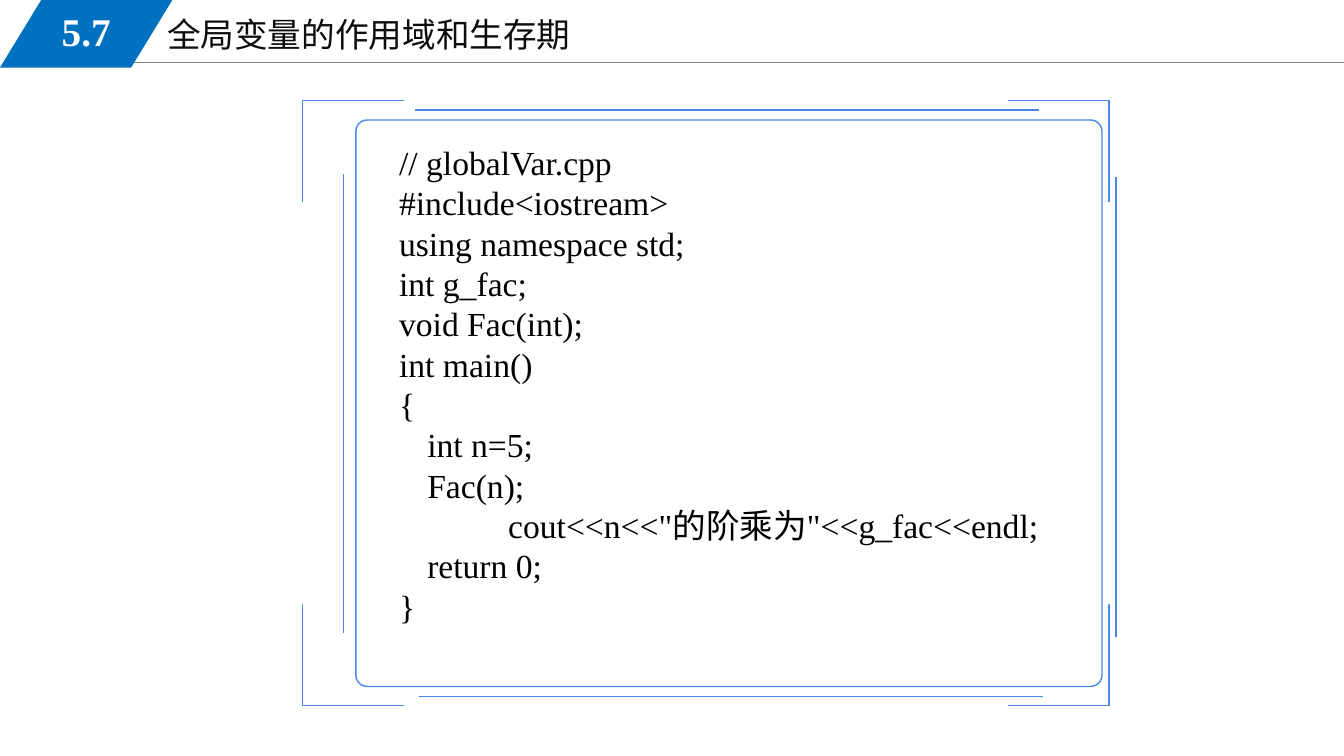
from lxml import etree
from pptx import Presentation
from pptx.dml.color import RGBColor
from pptx.enum.shapes import MSO_CONNECTOR, MSO_SHAPE
from pptx.enum.text import MSO_ANCHOR, PP_ALIGN
from pptx.oxml.ns import qn
from pptx.util import Inches, Pt

STRAIGHT = MSO_CONNECTOR.STRAIGHT
MIDDLE, TOP = MSO_ANCHOR.MIDDLE, MSO_ANCHOR.TOP
CENTER, LEFT = PP_ALIGN.CENTER, PP_ALIGN.LEFT

# Content
SECTION = "5.7"
TITLE = "全局变量的作用域和生存期"
CODE = [
    "// globalVar.cpp",
    "#include<iostream>",
    "using namespace std;",
    "int g_fac;",
    "void Fac(int);",
    "int main()",
    "{",
    "\tint n=5;",
    "\tFac(n);",
    "             cout<<n<<\"的阶乘为\"<<g_fac<<endl;",
    "\treturn 0;",
    "}",
]

# Style and layout, in inches
FONT = "Times New Roman"
BLUE, FRAME_BLUE, GREY = "0070C0", "4788E6", "808080"
WIDTH, HEIGHT = 13.33, 7.5
FRAME_LEFT, FRAME_TOP, FRAME_RIGHT, FRAME_BOTTOM = 3.37, 1.06, 11.13, 6.94
EDGE = 0.03  # distance of the side lines from the frame's limits
SIDE_LINES = [
    (4.12, FRAME_TOP + EDGE, 10.3, FRAME_TOP + EDGE),
    (4.16, FRAME_BOTTOM - EDGE, 10.34, FRAME_BOTTOM - EDGE),
    (FRAME_LEFT + 0.04, 1.73, FRAME_LEFT + 0.04, 6.28),
    (FRAME_RIGHT - 0.06, 1.76, FRAME_RIGHT - 0.06, 6.32),
]
# Corner bracket, as distances inward from a corner of the frame
BRACKET = [(0.07, 0), (0.36, 0), (0.32, 0.03), (0.61, 0.03), (0.64, 0.06),
           (0.14, 0.06), (0.07, 0.11), (0.07, 0.49), (0.04, 0.51),
           (0.04, 0.28), (0, 0.31), (0, 0.06)]


def color(value):
    return RGBColor.from_string(value)


def add_line(page, ends, line_color, weight):
    line = page.shapes.add_connector(STRAIGHT, *map(Inches, ends))
    line.line.color.rgb = color(line_color)
    line.line.width = Pt(weight)
    etree.SubElement(line._element.spPr, qn("a:effectLst"))


def paint(shape, fill=None, outline=None):
    shape.shadow.inherit = False
    if fill:
        shape.fill.solid()
        shape.fill.fore_color.rgb = color(fill)
    else:
        shape.fill.background()
    if outline:
        shape.line.color.rgb = color(outline)
        shape.line.width = Pt(1)
    else:
        shape.line.fill.background()


def add_text(page, area, lines, size, text_color, bold=False, align=LEFT, anchor=TOP):
    box = page.shapes.add_textbox(*map(Inches, area))
    frame = box.text_frame
    frame.word_wrap = True
    frame.vertical_anchor = anchor
    for index, text in enumerate(lines):
        para = frame.paragraphs[0] if index == 0 else frame.add_paragraph()
        para.text = text
        para.alignment = align
        para.font.name = FONT
        para.font.size = Pt(size)
        para.font.bold = bold
        para.font.color.rgb = color(text_color)
    return frame


def format_code(frame):
    for para in frame.paragraphs:
        para.line_spacing = Pt(28.8)
        props = para._p.get_or_add_pPr()
        props.set("marL", "0")
        props.set("indent", str(Inches(0.22)))
        tabs = etree.Element(qn("a:tabLst"))
        etree.SubElement(tabs, qn("a:tab"), pos=str(Inches(1)), algn="l")
        props.find(qn("a:defRPr")).addprevious(tabs)


def add_header(page):
    add_line(page, (1.13, 0.62, WIDTH, 0.62), GREY, 0.75)
    add_text(page, (1.56, 0.09, 5.67, 0.51), [TITLE], 24, "0D0D0D")
    tag = page.shapes.add_shape(MSO_SHAPE.PARALLELOGRAM, 0, 0, Inches(1.71), Inches(0.67))
    tag.adjustments[0] = 0.61
    paint(tag, BLUE)
    add_text(page, (0.25, 0.02, 1.21, 0.58), [SECTION], 28, "FFFFFF", True, CENTER, MIDDLE)


def add_frame(page):
    panel = page.shapes.add_shape(MSO_SHAPE.ROUNDED_RECTANGLE,
                                  *map(Inches, (3.53, 1.19, 7.4, 5.62)))
    panel.adjustments[0] = 0.02
    paint(panel, outline=FRAME_BLUE)
    # One bracket, mirrored into each corner
    for corner_x, step_x in ((FRAME_LEFT, 1), (FRAME_RIGHT, -1)):
        for corner_y, step_y in ((FRAME_TOP, 1), (FRAME_BOTTOM, -1)):
            points = [(corner_x + step_x * x, corner_y + step_y * y) for x, y in BRACKET]
            outline = page.shapes.build_freeform(*points[0], scale=Inches(1))
            outline.add_line_segments(points[1:], close=True)
            paint(outline.convert_to_shape(), FRAME_BLUE, FRAME_BLUE)
    for ends in SIDE_LINES:
        add_line(page, ends, FRAME_BLUE, 1)


def main():
    deck = Presentation()
    deck.slide_width, deck.slide_height = Inches(WIDTH), Inches(HEIGHT)
    page = deck.slides.add_slide(deck.slide_layouts[6])
    add_header(page)
    add_frame(page)
    format_code(add_text(page, (3.64, 1.36, 7.17, 5.28), CODE, 24, "000000"))
    deck.save("out.pptx")


if __name__ == "__main__":
    main()
